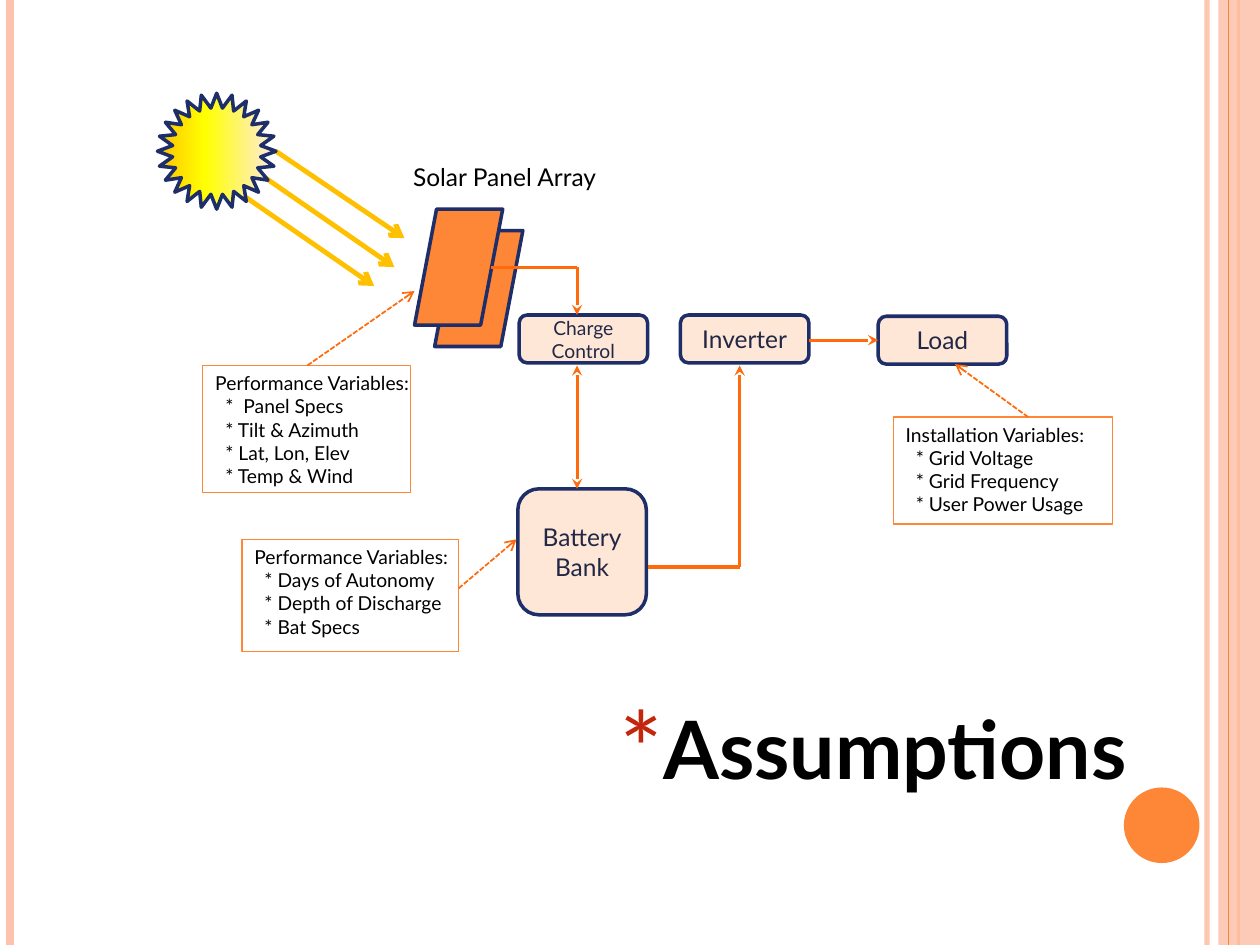
from copy import deepcopy
from lxml.etree import SubElement
from pptx import Presentation
from pptx.dml.color import RGBColor
from pptx.enum.dml import MSO_LINE
from pptx.enum.shapes import MSO_CONNECTOR, MSO_SHAPE as SHAPE
from pptx.enum.text import MSO_ANCHOR as ANCHOR, PP_ALIGN as ALIGN
from pptx.oxml.ns import qn
from pptx.util import Inches, Pt

WIDTH, HEIGHT = 10, 7.5
FONT = "Lato"
BLACK = RGBColor(0, 0, 0)
NAVY = RGBColor(0x1E, 0x2E, 0x68)
INK = RGBColor(0x21, 0x27, 0x45)
ORANGE = RGBColor(0xFE, 0x86, 0x37)
FLOW = RGBColor(0xFF, 0x6B, 0x0A)
PEACH = RGBColor(0xFE, 0xC3, 0xAE)
CREAM = RGBColor(0xFF, 0xE7, 0xD7)
GOLD = RGBColor(0xFF, 0xC0, 0x00)
SUN_STOPS = [(0, GOLD), (0.4, RGBColor(0xFF, 0xFF, 0)),
             (1, RGBColor(0xFF, 0xEA, 0xE4))]

# x, colour, width, opacity in percent
BACK_STRIPES = [(9.58, PEACH, 3, 93), (0.08, PEACH, 4.5, 100),
                (9.83, ORANGE, 1.5, 100)]
FRONT_STRIPES = [(9.75, ORANGE, 0.75, 100)]
PANELS = [(3.45, 1.83), (3.29, 1.66)]
RAYS = [((2.19, 1.2), (3.21, 1.89)), ((1.8, 1.2), (3.13, 2.12)),
        ((1.64, 1.35), (2.97, 2.27))]
# lines of text, place, size
STAGES = [(["Battery", "Bank"], (4.11, 3.88, 1.02, 1), 14),
          (["Load"], (6.97, 2.51, 1.02, 0.38), 14),
          (["Charge Control"], (4.12, 2.5, 1.02, 0.38), 11),
          (["Inverter"], (5.4, 2.5, 1.02, 0.38), 14)]
# start, end, arrowhead at start, arrowhead at end
FLOWS = [((4.58, 2.9), (4.58, 3.88), "stealth", "stealth"),
         ((6.42, 2.7), (6.97, 2.7), None, "stealth"),
         ((5.14, 4.5), (5.87, 4.5), None, None),
         ((5.87, 4.5), (5.87, 2.9), None, "stealth"),
         ((3.9, 2.12), (4.58, 2.12), None, None),
         ((4.58, 2.12), (4.58, 2.5), None, "stealth")]
# heading, items, place, pointer start, pointer end
NOTES = [
    ("Installation Variables:",
     ["* Grid Voltage", "* Grid Frequency", "* User Power Usage"],
     (7.09, 3.31, 1.74, 0.85), (8.16, 3.31), (7.58, 2.89)),
    ("Performance Variables:",
     ["*  Panel Specs", "* Tilt & Azimuth", "* Lat, Lon, Elev", "* Temp & Wind"],
     (1.61, 2.9, 1.65, 1.01), (2.44, 2.9), (3.29, 2.31)),
    ("Performance Variables:",
     ["* Days of Autonomy", "* Depth of Discharge", "* Bat Specs"],
     (1.92, 4.28, 1.72, 0.89), (3.64, 4.67), (4.1, 4.28)),
]

deck = Presentation()
deck.slide_width, deck.slide_height = Inches(WIDTH), Inches(HEIGHT)
page = deck.slides.add_slide(deck.slide_layouts[5])


def inches(values):
    """Turn plain numbers into lengths."""
    return [Inches(value) for value in values]


def set_opacity(element, percent):
    """Make the solid colour inside an element partly transparent."""
    if percent < 100:
        color = next(element.iter(qn("a:srgbClr")))
        SubElement(color, qn("a:alpha"), val=str(percent * 1000))


def add_shape(kind, place, fill=None, line=None, width=2, adjust=None):
    """Add a flat preset shape."""
    shape = page.shapes.add_shape(kind, *inches(place))
    shape.shadow.inherit = False
    if adjust is not None:
        shape.adjustments[0] = adjust
    if fill is None:
        shape.fill.background()
    else:
        shape.fill.solid()
        shape.fill.fore_color.rgb = fill
    if line is None:
        shape.line.fill.background()
    else:
        shape.line.color.rgb = line
        shape.line.width = Pt(width)
    return shape


def add_line(start, end, color, width, head=None, tail=None, dash=None):
    """Add a straight line with optional arrowheads."""
    link = page.shapes.add_connector(MSO_CONNECTOR.STRAIGHT, *inches(start + end))
    link.line.color.rgb = color
    link.line.width = Pt(width)
    if dash:
        link.line.dash_style = dash
    outline = link.line._get_or_add_ln()
    for tag, kind in (("a:headEnd", head), ("a:tailEnd", tail)):
        if kind:
            SubElement(outline, qn(tag), type=kind)
    SubElement(link._element.spPr, qn("a:effectLst"))
    return link


def write(shape, lines, size, color, align=ALIGN.LEFT, anchor=ANCHOR.TOP,
          wrap=True, bold=False):
    """Fill a shape with one paragraph per line."""
    frame = shape.text_frame
    frame.word_wrap = wrap
    frame.vertical_anchor = anchor
    for index, line in enumerate(lines):
        para = frame.paragraphs[0] if index == 0 else frame.add_paragraph()
        para.alignment = align
        span = para.add_run()
        span.text = line
        span.font.name, span.font.size, span.font.bold = FONT, Pt(size), bold
        span.font.color.rgb = color
    return frame


def add_stripes(stripes):
    """Draw full-height vertical lines."""
    for x, color, width, opacity in stripes:
        stripe = add_line((x, 0), (x, HEIGHT), color, width)
        set_opacity(stripe._element.spPr, opacity)


def add_frame():
    """Draw the stripes, band and disc at the slide's edges."""
    add_stripes(BACK_STRIPES)
    band = add_shape(SHAPE.RECTANGLE, (9.67, 0, 0.33, HEIGHT), PEACH)
    set_opacity(band._element.spPr, 87)
    add_stripes(FRONT_STRIPES)
    add_shape(SHAPE.OVAL, (8.92, 6.25, 0.6, 0.6), ORANGE)


def add_title():
    """Place the title with its red asterisk bullet."""
    title = page.shapes.title
    title.left, title.top, title.width, title.height = inches((1.92, 5.5, 7.12, 1.25))
    frame = write(title, ["Assumptions"], 46, BLACK, ALIGN.RIGHT, bold=True)
    props = frame.paragraphs[0]._p.get_or_add_pPr()
    props.set("marL", str(Inches(0.35)))
    props.set("indent", str(-Inches(0.35)))
    SubElement(SubElement(props, qn("a:buClr")), qn("a:srgbClr"), val="C3260C")
    SubElement(props, qn("a:buSzPct"), val="128000")
    SubElement(props, qn("a:buFont"), typeface=FONT)
    SubElement(props, qn("a:buChar"), char="*")


def add_sun():
    """Draw the rays and the sun with its three-colour gradient."""
    for start, end in RAYS:
        add_line(start, end, GOLD, 2.75, tail="arrow")
    sun = add_shape(SHAPE.STAR_24_POINT, (1.25, 0.74, 0.94, 0.92), GOLD, NAVY,
                    adjust=0.375)
    sun.fill.gradient()
    sun.fill.gradient_angle = 0
    stops = next(sun._element.spPr.iter(qn("a:gsLst")))
    stops.insert(1, deepcopy(stops[0]))
    for stop, (position, color) in zip(sun.fill.gradient_stops, SUN_STOPS):
        stop.position = position
        stop.color.rgb = color


def add_note(heading, items, place, start, end):
    """Add a box of variables and its dashed pointer."""
    box = add_shape(SHAPE.RECTANGLE, place, line=ORANGE, width=0.75)
    frame = write(box, [heading] + items, 11, BLACK, wrap=False)
    frame.margin_right = 0
    for para in frame.paragraphs[1:]:
        para._p.get_or_add_pPr().set("marL", str(Inches(0.08)))
    add_line(start, end, FLOW, 1, tail="arrow", dash=MSO_LINE.SQUARE_DOT)


add_frame()
add_title()
for corner in PANELS:
    add_shape(SHAPE.PARALLELOGRAM, corner + (0.7, 0.92), ORANGE, NAVY, adjust=0.25)
add_sun()
label = page.shapes.add_textbox(*inches((3.18, 1.24, 1.8, 0.33)))
write(label, ["Solar Panel Array"], 14, BLACK)
for lines, place, size in STAGES:
    stage = add_shape(SHAPE.ROUNDED_RECTANGLE, place, CREAM, NAVY, adjust=0.167)
    write(stage, lines, size, INK, ALIGN.CENTER, ANCHOR.MIDDLE)
for start, end, head, tail in FLOWS:
    add_line(start, end, FLOW, 1.75, head, tail)
for note in NOTES:
    add_note(*note)

deck.save("out.pptx")
